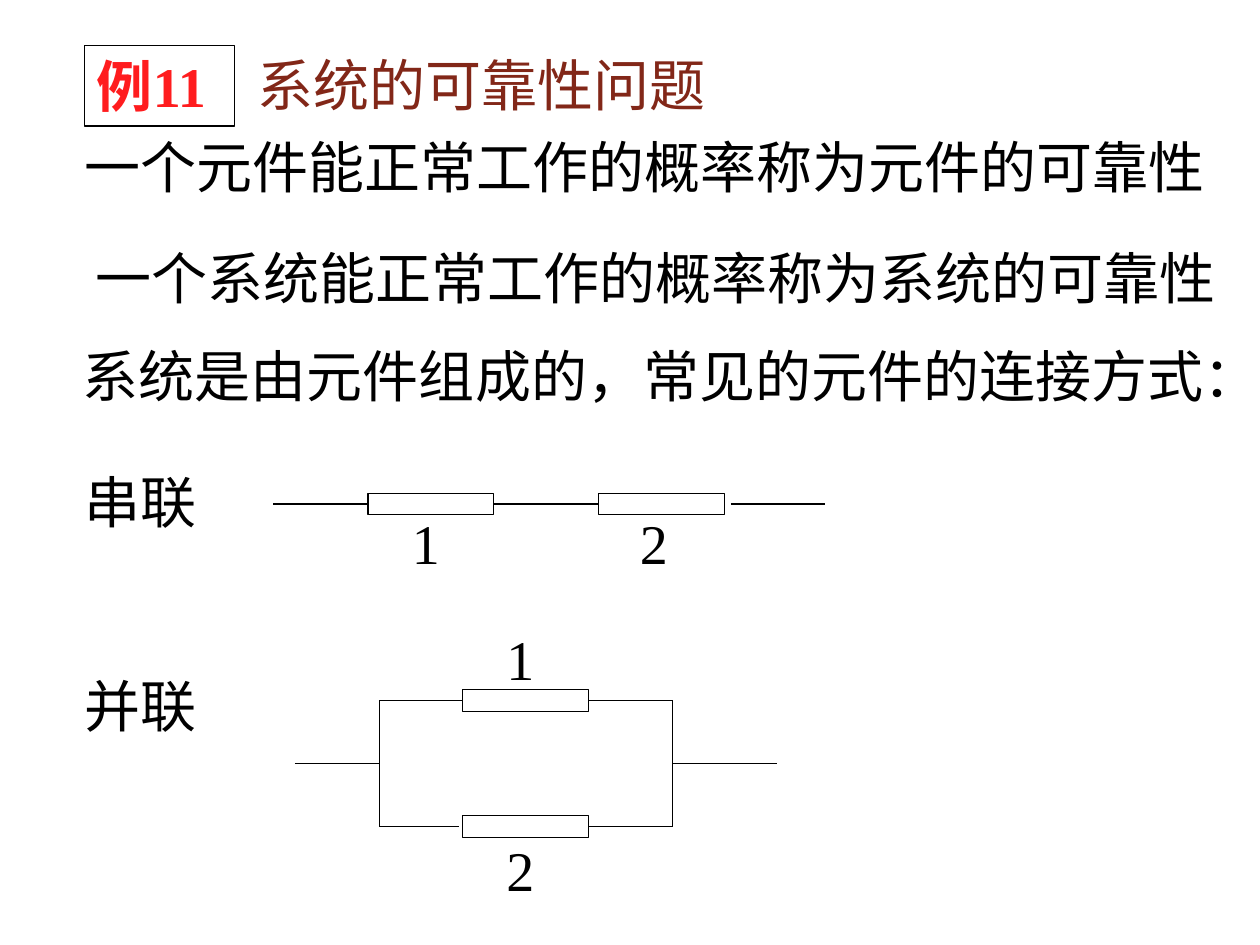
from lxml import etree
from pptx import Presentation
from pptx.dml.color import RGBColor
from pptx.enum.shapes import MSO_CONNECTOR, MSO_SHAPE
from pptx.enum.text import MSO_ANCHOR, MSO_AUTO_SIZE, PP_ALIGN
from pptx.oxml.ns import qn
from pptx.util import Inches, Pt

STRAIGHT = MSO_CONNECTOR.STRAIGHT
RECTANGLE = MSO_SHAPE.RECTANGLE
TOP, LEFT = MSO_ANCHOR.TOP, PP_ALIGN.LEFT
NO_AUTOFIT = MSO_AUTO_SIZE.NONE

BLACK = RGBColor(0x00, 0x00, 0x00)
BROWN = RGBColor(0x82, 0x27, 0x18)
RED = RGBColor(0xFF, 0x1C, 0x1E)

FONT = "Times New Roman"
LINE_WIDTH = Pt(0.75)
TEXT_HEIGHT = 0.64
ELEMENT_WIDTH, ELEMENT_HEIGHT = 1, 0.17
LEFT_SIDE, RIGHT_SIDE = 1, 3

STATEMENTS = [
    ("一个元件能正常工作的概率称为元件的可靠性", 0.57, 1, 9.1),
    ("一个系统能正常工作的概率称为系统的可靠性", 0.66, 1.88, 9.1),
    ("系统是由元件组成的，常见的元件的连接方式：", 0.56, 2.66, 9.54),
    ("串联", 0.57, 3.66, 1.09),
    ("并联", 0.57, 5.28, 1.09),
]


def write_text(shape, text, color=BLACK, bold=False):
    frame = shape.text_frame
    frame.word_wrap = False
    frame.auto_size = NO_AUTOFIT
    frame.vertical_anchor = TOP
    para = frame.paragraphs[0]
    para.alignment = LEFT
    span = para.add_run()
    span.text = text
    span.font.name = FONT
    span.font.size = Pt(32)
    span.font.bold = bold
    span.font.color.rgb = color


def add_text(page, text, left, top, width):
    box = page.shapes.add_textbox(
        Inches(left), Inches(top), Inches(width), Inches(TEXT_HEIGHT))
    write_text(box, text)


def add_title(page, text):
    title = page.shapes.title
    title.left, title.top = Inches(1.94), Inches(0.35)
    title.width, title.height = Inches(3.98), Inches(TEXT_HEIGHT)
    write_text(title, text, color=BROWN)


def add_outline(page, left, top, width, height):
    box = page.shapes.add_shape(
        RECTANGLE, Inches(left), Inches(top), Inches(width), Inches(height))
    box.shadow.inherit = False
    box.fill.background()
    box.line.color.rgb = BLACK
    box.line.width = LINE_WIDTH
    return box


def add_element(page, left, wire_y):
    """Draw a circuit element centred vertically on its wire."""
    return add_outline(page, left, wire_y - ELEMENT_HEIGHT / 2,
                       ELEMENT_WIDTH, ELEMENT_HEIGHT)


def add_wire(page, start, end, begin_box=None, end_box=None):
    """Draw a wire; it leaves begin_box on the right and enters end_box on the left."""
    wire = page.shapes.add_connector(
        STRAIGHT, *(Inches(value) for value in (*start, *end)))
    wire.line.color.rgb = BLACK
    wire.line.width = LINE_WIDTH
    etree.SubElement(wire._element.spPr, qn("a:effectLst"))
    if begin_box is not None:
        wire.begin_connect(begin_box, RIGHT_SIDE)
    if end_box is not None:
        wire.end_connect(end_box, LEFT_SIDE)


def add_series_circuit(page):
    wire_y = 4
    first = add_element(page, 2.92, wire_y)
    second = add_element(page, 4.75, wire_y)
    add_wire(page, (2.17, wire_y), (2.92, wire_y), end_box=first)
    add_wire(page, (3.92, wire_y), (4.75, wire_y), begin_box=first, end_box=second)
    add_wire(page, (5.8, wire_y), (6.55, wire_y))
    add_text(page, "1", 3.17, 3.99, 0.42)
    add_text(page, "2", 4.98, 3.99, 0.42)


def add_parallel_circuit(page):
    upper_y, middle_y, lower_y = 5.56, 6.06, 6.56
    left_node, right_node, element_left = 3.01, 5.34, 3.67
    element_right = element_left + ELEMENT_WIDTH
    upper = add_element(page, element_left, upper_y)
    lower = add_element(page, element_left, lower_y)
    add_wire(page, (left_node, upper_y), (element_left, upper_y), end_box=upper)
    add_wire(page, (left_node, lower_y), (3.64, lower_y))
    for element, wire_y in ((upper, upper_y), (lower, lower_y)):
        add_wire(page, (element_right, wire_y), (right_node, wire_y), begin_box=element)
    for node in (left_node, right_node):
        add_wire(page, (node, upper_y), (node, lower_y))
    add_wire(page, (2.34, middle_y), (left_node, middle_y))
    add_wire(page, (right_node, middle_y), (6.17, middle_y))
    add_text(page, "1", 3.92, 4.91, 0.42)
    add_text(page, "2", 3.92, 6.58, 0.42)


def main():
    deck = Presentation()
    deck.slide_width, deck.slide_height = Inches(10), Inches(7.5)
    page = deck.slides.add_slide(deck.slide_layouts[5])
    add_title(page, "系统的可靠性问题")
    example = add_outline(page, 0.67, 0.36, 1.19, TEXT_HEIGHT)
    write_text(example, "例11", color=RED, bold=True)
    for statement in STATEMENTS:
        add_text(page, *statement)
    add_series_circuit(page)
    add_parallel_circuit(page)
    deck.save("out.pptx")


if __name__ == "__main__":
    main()
